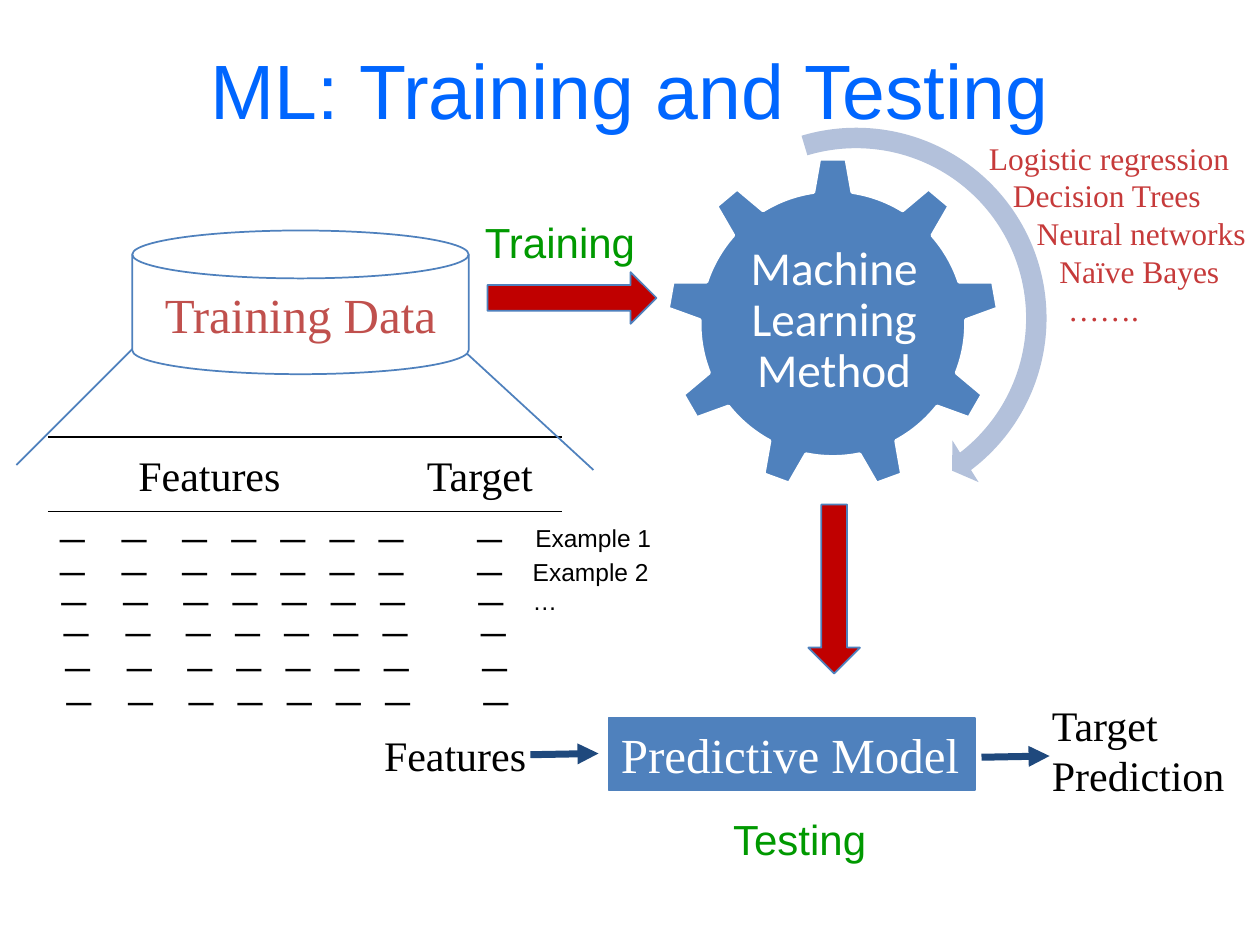
from lxml.etree import SubElement
from pptx import Presentation
from pptx.dml.color import RGBColor
from pptx.enum.shapes import MSO_CONNECTOR, MSO_SHAPE
from pptx.enum.text import MSO_ANCHOR, MSO_AUTO_SIZE, PP_ALIGN
from pptx.oxml.ns import qn
from pptx.util import Inches, Pt

COLORS = {
    "title": "0066FF", "blue": "4F81BD", "navy": "1F497D", "pale": "B3C1DB",
    "red": "C00000", "data": "C0504D", "method": "C63A3A", "green": "009900",
    "black": "000000", "white": "FFFFFF",
}
SERIF = "Times New Roman"
TITLE = "ML: Training and Testing"

# text, box, size, font, color
LABELS = [
    ("Features", (2.95, 5.74, 1.34, 0.51), 24, SERIF, "black"),
    ("Target\nPrediction", (8.25, 5.5, 1.58, 0.91), 24, SERIF, "black"),
    ("Example 1", (4.15, 4.1, 1.13, 0.34), 14, "Arial", "black"),
    ("Example 2\n…", (4.13, 4.37, 1.13, 0.57), 14, "Arial", "black"),
    ("Training", (3.75, 1.67, 1.41, 0.51), 24, "Arial", "green"),
    ("Testing", (5.72, 6.41, 1.27, 0.51), 24, "Arial", "green"),
]
METHODS = [
    ("Logistic regression", 0), ("Decision Trees", 0.19),
    ("Neural networks", 0.38), ("Naïve Bayes", 0.56), ("…….", 0.63),
]
DASH_ROWS = [(0.38, 3.82), (0.38, 4.08), (0.39, 4.32),
             (0.41, 4.57), (0.42, 4.84), (0.43, 5.11)]
DASH_STOPS = [0.49, 0.97, 1.36, 1.75, 2.14, 2.53, 3.31]
# start, end, color, width, arrowhead
LINES = [
    ((0.38, 3.47), (4.46, 3.47), "black", 1, False),
    ((0.38, 4.06), (4.46, 4.06), "black", 1, False),
    ((1.05, 2.77), (0.13, 3.69), "blue", 1, False),
    ((3.71, 2.81), (4.71, 3.73), "blue", 1, False),
    ((4.21, 5.99), (4.75, 5.98), "navy", 4, True),
    ((7.79, 6.01), (8.33, 6), "navy", 4, True),
]


def rgb(name):
    return RGBColor.from_string(COLORS[name])


def write(shape, text, size, font, color, align=PP_ALIGN.LEFT, wrap=False, stops=()):
    frame = shape.text_frame
    frame.text = text
    frame.word_wrap = wrap
    for paragraph in frame.paragraphs:
        paragraph.alignment = align
        if stops:
            tabs = SubElement(paragraph._p.get_or_add_pPr(), qn("a:tabLst"))
            for stop in stops:
                SubElement(tabs, qn("a:tab"), pos=str(Inches(stop)), algn="l")
        for run in paragraph.runs:
            run.font.size = Pt(size)
            run.font.name = font
            run.font.color.rgb = rgb(color)
    return frame


def add_text(slide, text, box, *style, **options):
    shape = slide.shapes.add_textbox(*map(Inches, box))
    return write(shape, text, *style, **options)


def add_figure(slide, kind, box, fill=None, line=None, width=1, adjustments=()):
    shape = slide.shapes.add_shape(kind, *map(Inches, box))
    shape.shadow.inherit = False
    if fill:
        shape.fill.solid()
        shape.fill.fore_color.rgb = rgb(fill)
    else:
        shape.fill.background()
    if line:
        shape.line.color.rgb = rgb(line)
        shape.line.width = Pt(width)
    else:
        shape.line.fill.background()
    for index, value in enumerate(adjustments):
        shape.adjustments[index] = value
    return shape


def add_line(slide, start, end, color, width, arrowhead):
    line = slide.shapes.add_connector(MSO_CONNECTOR.STRAIGHT, *map(Inches, start + end))
    line.line.color.rgb = rgb(color)
    line.line.width = Pt(width)
    if arrowhead:
        SubElement(line.line._get_or_add_ln(), qn("a:tailEnd"), type="triangle")
    SubElement(line._element.spPr, qn("a:effectLst"))


def main():
    """Build the slide on training and testing a machine learning model."""
    presentation = Presentation()
    presentation.slide_width, presentation.slide_height = Inches(10), Inches(7.5)
    slide = presentation.slides.add_slide(presentation.slide_layouts[5])

    title = slide.shapes.title
    title.left, title.top, title.width, title.height = map(Inches, (0.5, 0.08, 9, 1.25))
    frame = write(title, TITLE, 44, "Arial", "title", PP_ALIGN.CENTER, True)
    frame.vertical_anchor = MSO_ANCHOR.MIDDLE
    frame.auto_size = MSO_AUTO_SIZE.NONE

    cylinder = add_figure(slide, MSO_SHAPE.FLOWCHART_MAGNETIC_DISK,
                          (1.05, 1.83, 2.67, 1.14), line="blue")
    write(cylinder, "Training Data", 28, SERIF, "data", PP_ALIGN.CENTER)

    add_text(slide, "Features\tTarget", (1, 3.52, 3.5, 0.5), 24, SERIF, "black",
             wrap=True, stops=[2.29])
    dashes = "\t".join("_" * (len(DASH_STOPS) + 1))
    for left, top in DASH_ROWS:
        add_text(slide, dashes, (left, top, 3.74, 0.57), 28, SERIF, "black",
                 wrap=True, stops=DASH_STOPS)
    for line in LINES:
        add_line(slide, *line)

    add_figure(slide, MSO_SHAPE.RIGHT_ARROW, (3.87, 2.16, 1.34, 0.41), "red", "blue")
    add_figure(slide, MSO_SHAPE.GEAR_9, (5.29, 1.25, 2.64, 2.64), "blue", "white", 2)
    frame = add_text(slide, "Machine Learning Method", (5.83, 1.87, 1.58, 1.36),
                     27, "Calibri", "white", align=PP_ALIGN.CENTER, wrap=True)
    frame.vertical_anchor = MSO_ANCHOR.MIDDLE
    frame.margin_left = frame.margin_right = Inches(0.04)
    frame.margin_top = frame.margin_bottom = Inches(0.04)
    frame.paragraphs[0].line_spacing = 0.9
    add_figure(slide, MSO_SHAPE.CIRCULAR_ARROW, (5.17, 0.9, 3.25, 3.25), "pale",
               adjustments=(0.05, 3.13, 31.58, 152, 0.06))
    down_arrow = add_figure(slide, MSO_SHAPE.RIGHT_ARROW, (5.95, 4.47, 1.34, 0.41),
                            "red", "blue")
    down_arrow.rotation = 90

    model = add_figure(slide, MSO_SHAPE.RECTANGLE, (4.83, 5.7, 2.91, 0.57), "blue", "blue")
    write(model, "Predictive Model", 28, SERIF, "white")

    names = "\n".join(name for name, indent in METHODS)
    frame = add_text(slide, names, (7.75, 1.05, 2.26, 1.62), 18, SERIF, "method", wrap=True)
    for paragraph, (name, indent) in zip(frame.paragraphs, METHODS):
        paragraph._p.get_or_add_pPr().set("marL", str(Inches(indent)))
    for label in LABELS:
        add_text(slide, *label)

    presentation.save("out.pptx")


if __name__ == "__main__":
    main()
